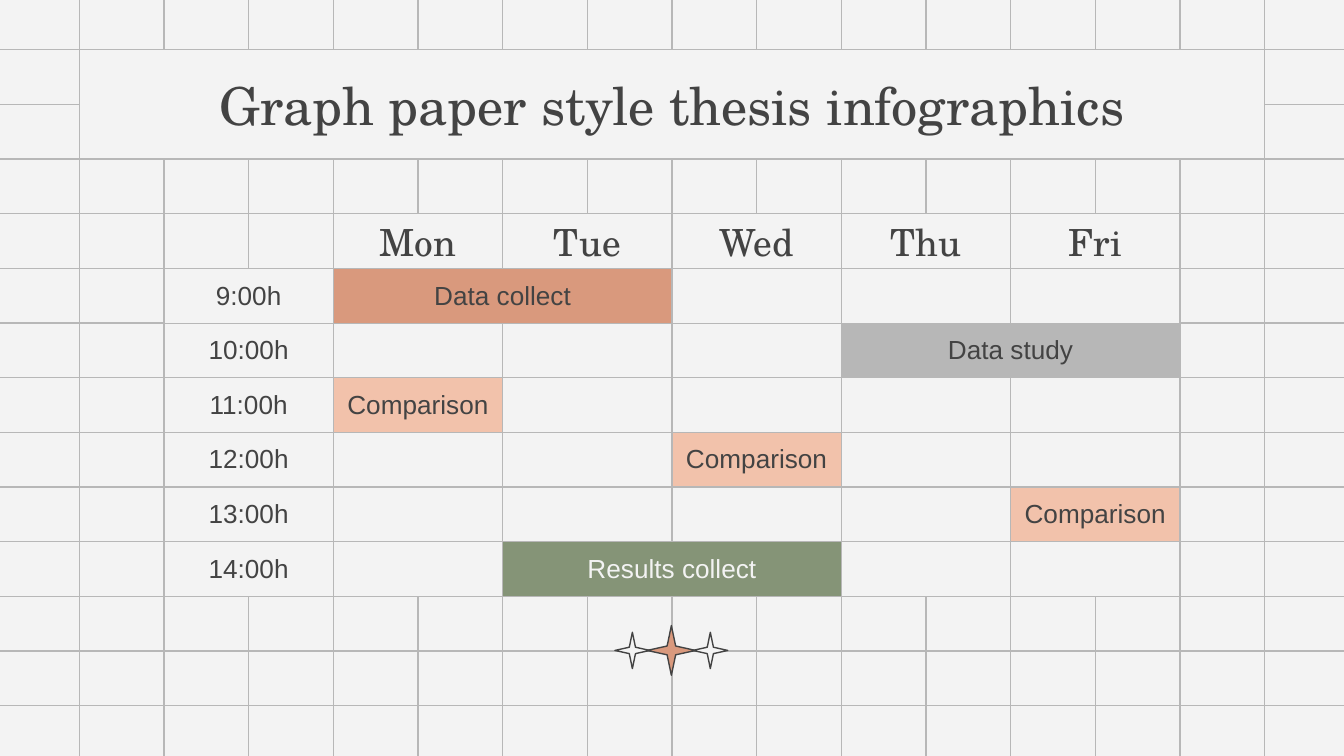
from dataclasses import dataclass

from lxml import etree
from pptx import Presentation
from pptx.dml.color import RGBColor
from pptx.enum.shapes import MSO_CONNECTOR, MSO_SHAPE
from pptx.enum.text import MSO_ANCHOR, PP_ALIGN
from pptx.oxml.ns import qn
from pptx.util import Inches, Pt


@dataclass(frozen=True)
class Theme:
    paper: str = "F3F3F3"
    grid: str = "B7B7B7"
    ink: str = "434343"
    clay: str = "D9997D"
    peach: str = "F2C2AB"
    sage: str = "859477"
    serif: str = "TeX Gyre Schola"
    sans: str = "Arial"
    title_pt: float = 28
    day_pt: float = 20
    body_pt: float = 14
    line_pt: float = 0.75


@dataclass(frozen=True)
class Task:
    text: str
    row: int
    col: int
    fill: str
    span: int = 1
    color: str = Theme.ink


@dataclass(frozen=True)
class Star:
    left: float
    top: float
    width: float
    height: float
    fill: str


T = Theme()
WIDTH, HEIGHT = 10, 45 / 8
GRID_LEFT, GRID_TOP = 0.59, 0.37
STEP_X, STEP_Y = 0.63, 4.88 / 12
GRID_COLS, GRID_ROWS = 14, 12
BLEED = 0.04

DAYS = ["Mon", "Tue", "Wed", "Thu", "Fri"]
HOURS = [f"{hour}:00h" for hour in range(9, 15)]
TASKS = [
    Task("Data collect", 1, 1, T.clay, span=2),
    Task("Data study", 2, 4, T.grid, span=2),
    Task("Comparison", 3, 1, T.peach),
    Task("Comparison", 4, 3, T.peach),
    Task("Comparison", 5, 5, T.peach),
    Task("Results collect", 6, 2, T.sage, span=2, color=T.paper),
]
STARS = [
    Star(4.81, 4.66, 0.37, 0.36, T.clay),
    Star(4.57, 4.71, 0.27, 0.26, T.paper),
    Star(5.15, 4.71, 0.27, 0.26, T.paper),
]


def rgb(color: str) -> RGBColor:
    return RGBColor.from_string(color)


def paint(s, fill: str, line: str) -> None:
    s.shadow.inherit = False
    s.fill.solid()
    s.fill.fore_color.rgb = rgb(fill)
    s.line.color.rgb = rgb(line)
    s.line.width = Pt(T.line_pt)


def write(tf, text: str, font: str, size: float, color: str = T.ink) -> None:
    tf.text = text
    p = tf.paragraphs[0]
    p.alignment = PP_ALIGN.CENTER
    for r in p.runs:
        r.font.name = font
        r.font.size = Pt(size)
        r.font.color.rgb = rgb(color)


def draw_line(shapes, x1: float, y1: float, x2: float, y2: float) -> None:
    s = shapes.add_connector(MSO_CONNECTOR.STRAIGHT, Inches(x1), Inches(y1), Inches(x2), Inches(y2))
    s.line.color.rgb = rgb(T.grid)
    s.line.width = Pt(T.line_pt)
    etree.SubElement(s._element.spPr, qn("a:effectLst"))


def draw_grid(shapes) -> None:
    """Each grid line is two halves that meet at the middle of the slide."""
    x_stops = [-BLEED, WIDTH / 2, WIDTH + BLEED]
    y_stops = [-BLEED, HEIGHT / 2, HEIGHT + BLEED]
    for i in range(GRID_COLS + 1):
        x = GRID_LEFT + i * STEP_X
        for start, end in zip(y_stops, y_stops[1:]):
            draw_line(shapes, x, start, x, end)
    for i in range(GRID_ROWS + 1):
        y = GRID_TOP + i * STEP_Y
        for start, end in zip(x_stops, x_stops[1:]):
            draw_line(shapes, start, y, end, y)


def draw_title(shapes, text: str) -> None:
    s = shapes.add_shape(MSO_SHAPE.RECTANGLE, Inches(GRID_LEFT), Inches(GRID_TOP),
                         Inches(GRID_COLS * STEP_X), Inches(2 * STEP_Y))
    paint(s, T.paper, T.grid)
    tf = s.text_frame
    tf.word_wrap = True
    tf.vertical_anchor = MSO_ANCHOR.MIDDLE
    tf.margin_left = tf.margin_right = tf.margin_top = tf.margin_bottom = Inches(0.1)
    write(tf, text, T.serif, T.title_pt)


def set_borders(cell, sides: str) -> None:
    """Rule the given sides; borders must precede the fill in the cell properties."""
    tc_pr = cell._tc.get_or_add_tcPr()
    for i, side in enumerate("LRTB"):
        ln = etree.Element(qn(f"a:ln{side}"), w=str(Pt(T.line_pt)))
        if side in sides:
            fill = etree.SubElement(ln, qn("a:solidFill"))
            etree.SubElement(fill, qn("a:srgbClr"), val=T.grid)
        else:
            etree.SubElement(ln, qn("a:noFill"))
        tc_pr.insert(i, ln)


def draw_schedule(shapes) -> None:
    rows, cols = len(HOURS) + 1, len(DAYS) + 1
    col_width, row_height = 2 * STEP_X, STEP_Y
    frame = shapes.add_table(rows, cols, Inches(GRID_LEFT + STEP_X), Inches(GRID_TOP + 3 * STEP_Y),
                             Inches(cols * col_width), Inches(rows * row_height))
    table = frame.table
    table.first_row = table.horz_banding = False
    for column in table.columns:
        column.width = Inches(col_width)
    for row in table.rows:
        row.height = Inches(row_height)

    # Plain cells, with an open corner at the top left
    corner = table.cell(0, 0)
    for cell in table.iter_cells():
        cell.margin_left = cell.margin_right = cell.margin_top = cell.margin_bottom = 0
        cell.vertical_anchor = MSO_ANCHOR.MIDDLE
        cell.fill.solid()
        cell.fill.fore_color.rgb = rgb(T.paper)
        set_borders(cell, "RB" if cell == corner else "LRTB")
    corner.fill.background()

    # Headings
    for col, day in enumerate(DAYS, 1):
        write(table.cell(0, col).text_frame, day, T.serif, T.day_pt)
    for row, hour in enumerate(HOURS, 1):
        write(table.cell(row, 0).text_frame, hour, T.sans, T.body_pt)

    # Tasks
    for task in TASKS:
        cell = table.cell(task.row, task.col)
        if task.span > 1:
            cell.merge(table.cell(task.row, task.col + task.span - 1))
        cell.fill.fore_color.rgb = rgb(task.fill)
        write(cell.text_frame, task.text, T.sans, T.body_pt, task.color)


def draw_stars(shapes) -> None:
    group = shapes.add_group_shape()
    for star in STARS:
        s = group.shapes.add_shape(MSO_SHAPE.STAR_4_POINT, Inches(star.left), Inches(star.top),
                                   Inches(star.width), Inches(star.height))
        s.adjustments[0] = 0.125
        s.rotation = 90
        paint(s, star.fill, T.ink)


def main() -> None:
    prs = Presentation()
    prs.slide_width, prs.slide_height = Inches(WIDTH), Inches(HEIGHT)
    slide = prs.slides.add_slide(prs.slide_layouts[6])
    slide.background.fill.solid()
    slide.background.fill.fore_color.rgb = rgb(T.paper)

    draw_grid(slide.shapes)
    draw_title(slide.shapes, "Graph paper style thesis infographics")
    draw_schedule(slide.shapes)
    draw_stars(slide.shapes)
    prs.save("out.pptx")


if __name__ == "__main__":
    main()
